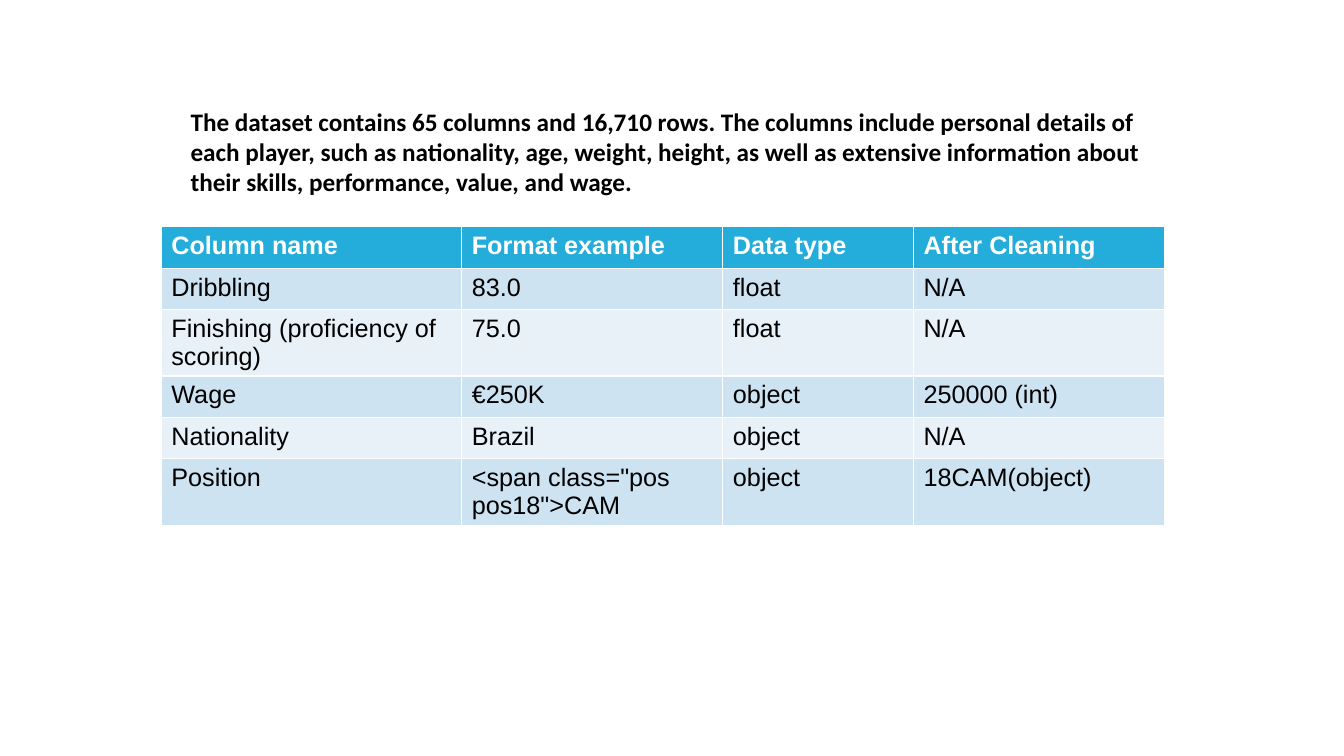
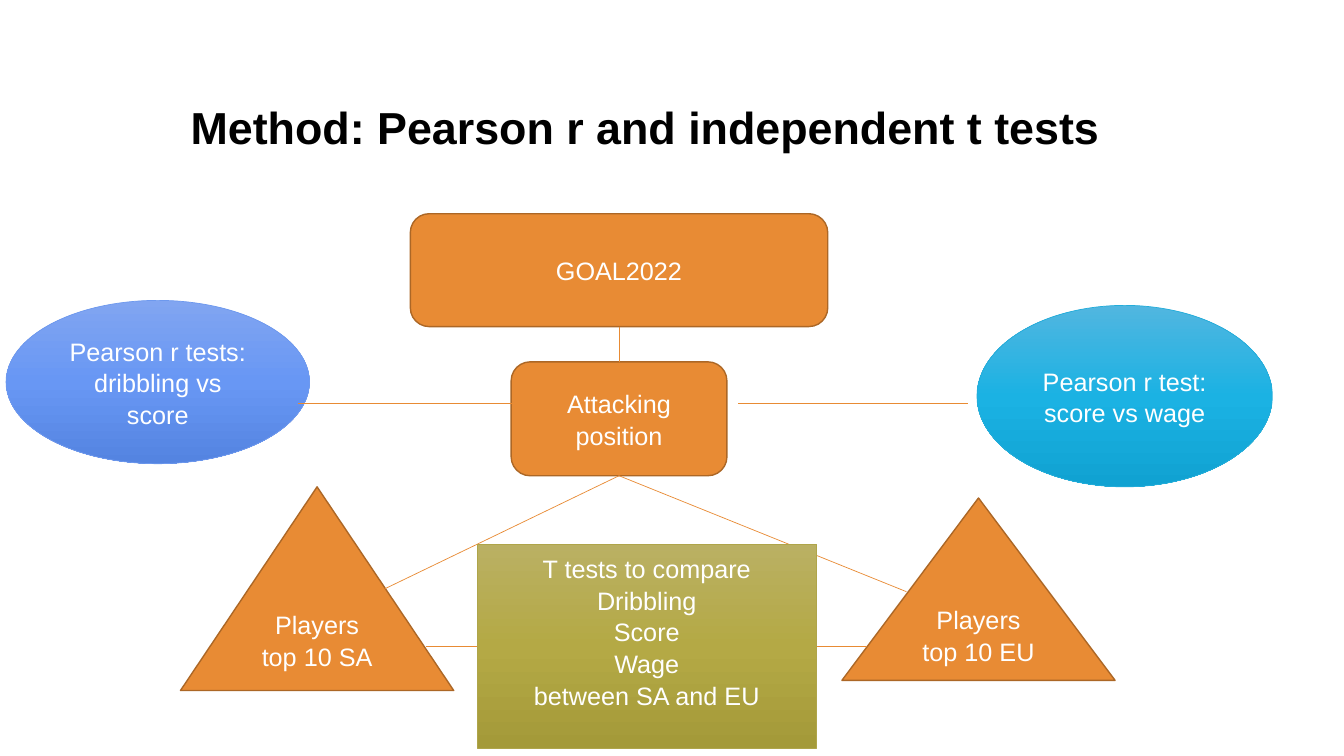
import copy

import pptx
import pptx.dml.color
import pptx.enum.shapes
import pptx.enum.text
import pptx.oxml.ns
import pptx.util
from lxml import etree

Inches = pptx.util.Inches
SHAPES = pptx.enum.shapes.MSO_SHAPE
ALIGN = pptx.enum.text.PP_ALIGN
ANCHOR = pptx.enum.text.MSO_ANCHOR

BLACK, WHITE = "000000", "FFFFFF"
ORANGE, ORANGE_EDGE = "E88B34", "AC6726"
HEADER, BAND_DARK, BAND_LIGHT = "24ADDA", "CDE3F1", "E8F1F8"
BLUE = ("81A5F1", "6897F4", "5484E1")
CYAN = ("51B6E0", "1BB2E3", "10A2D2")
OLIVE = ("BAB063", "B4A945", "A49A39")

COLUMN_WIDTHS = (2.98, 2.59, 1.89, 2.49)
ROW_HEIGHT = 0.41
ROWS = (
    ("Column name", "Format example", "Data type", "After Cleaning"),
    ("Dribbling", "83.0", "float", "N/A"),
    ("Finishing (proficiency of scoring)", "75.0", "float", "N/A"),
    ("Wage", "€250K", "object", "250000 (int)"),
    ("Nationality", "Brazil", "object", "N/A"),
    ("Position", '<span class="pos pos18">CAM', "object", "18CAM(object)"),
)


def rgb(value):
    """Turn a hex string into a colour."""
    return pptx.dml.color.RGBColor.from_string(value)


def add_span(para, text, color, size=18, bold=False, font="Arial"):
    """Add one formatted run to a paragraph."""
    span = para.add_run()
    span.text = text
    span.font.name = font
    span.font.size = pptx.util.Pt(size)
    span.font.bold = bold
    span.font.color.rgb = rgb(color)


def add_page(deck, title, height, size, font="Arial"):
    """Add a title-only slide with its title placed and formatted."""
    page = deck.slides.add_slide(deck.slide_layouts[5])
    box = page.shapes.title
    box.left, box.top = Inches(1.79), Inches(0.75)
    box.width, box.height = Inches(9.75), Inches(height)
    frame = box.text_frame
    frame.word_wrap = True
    frame.auto_size = pptx.enum.text.MSO_AUTO_SIZE.NONE
    frame.vertical_anchor = ANCHOR.MIDDLE
    para = frame.paragraphs[0]
    para.alignment = ALIGN.LEFT
    add_span(para, title, BLACK, size, True, font)
    return page


def add_data_table(page, left, top, rows):
    """Add a table with a coloured header and alternating row bands."""
    frame = page.shapes.add_table(
        len(rows), len(COLUMN_WIDTHS), Inches(left), Inches(top),
        Inches(sum(COLUMN_WIDTHS)), Inches(ROW_HEIGHT * len(rows)))
    table = frame.table
    for column, width in zip(table.columns, COLUMN_WIDTHS):
        column.width = Inches(width)
    for number, values in enumerate(rows):
        header = number == 0
        band = HEADER if header else BAND_DARK if number % 2 else BAND_LIGHT
        table.rows[number].height = Inches(ROW_HEIGHT)
        for cell, value in zip(table.rows[number].cells, values):
            cell.fill.solid()
            cell.fill.fore_color.rgb = rgb(band)
            add_span(cell.text_frame.paragraphs[0], value,
                     WHITE if header else BLACK, bold=header)


def fill_gradient(shape, colors):
    """Fill a shape from top to bottom with three evenly spaced colours."""
    shape.fill.gradient()
    shape.fill.gradient_angle = 270
    stop_list = shape.element.spPr.find(".//" + pptx.oxml.ns.qn("a:gsLst"))
    stop_list.append(copy.deepcopy(stop_list[0]))
    for number, (stop, color) in enumerate(zip(shape.fill.gradient_stops, colors)):
        stop.position = number / 2
        stop.color.rgb = rgb(color)


def add_node(page, kind, place, lines, fill=ORANGE, edge=ORANGE_EDGE, edge_width=1):
    """Add a diagram shape with centred white text, one paragraph a line."""
    shape = page.shapes.add_shape(kind, *map(Inches, place))
    shape.shadow.inherit = False
    if isinstance(fill, str):
        shape.fill.solid()
        shape.fill.fore_color.rgb = rgb(fill)
    else:
        fill_gradient(shape, fill)
    shape.line.color.rgb = rgb(edge)
    shape.line.width = pptx.util.Pt(edge_width)
    frame = shape.text_frame
    frame.word_wrap = True
    frame.vertical_anchor = ANCHOR.MIDDLE
    for number, text in enumerate(lines):
        para = frame.add_paragraph() if number else frame.paragraphs[0]
        para.alignment = ALIGN.CENTER
        para.line_spacing = 1.05
        add_span(para, text, WHITE)
    return shape


def add_link(page, start, end, begin=None, finish=None):
    """Add a thin straight line, joined to (shape, side) pairs where given."""
    link = page.shapes.add_connector(
        pptx.enum.shapes.MSO_CONNECTOR.STRAIGHT, *map(Inches, start + end))
    link.line.color.rgb = rgb(ORANGE)
    link.line.width = pptx.util.Pt(0.5)
    etree.SubElement(link.element.spPr, pptx.oxml.ns.qn("a:effectLst"))
    if begin:
        link.begin_connect(*begin)
    if finish:
        link.end_connect(*finish)


def build_dataset(deck):
    """Build the slide that describes the data set."""
    page = add_page(
        deck,
        "The dataset contains 65 columns and 16,710 rows. The columns include "
        "personal details of each player, such as nationality, age, weight, "
        "height, as well as extensive information about their skills, "
        "performance, value, and wage.", 1.5, 18, "Calibri")
    add_data_table(page, 1.6, 2.25, ROWS)


def build_method(deck):
    """Build the slide that shows the tests as a diagram."""
    page = add_page(deck, "Method: Pearson r and independent t tests", 1.01, 32)
    source = add_node(page, SHAPES.ROUNDED_RECTANGLE, (4.07, 2.12, 4.14, 1.12),
                      ["GOAL2022"])
    attack = add_node(page, SHAPES.ROUNDED_RECTANGLE, (5.07, 3.59, 2.14, 1.13),
                      ["Attacking position"])
    add_link(page, (6.14, 3.24), (6.14, 3.59), (source, 2), (attack, 0))
    add_node(page, SHAPES.ISOSCELES_TRIANGLE, (8.35, 4.94, 2.71, 1.81),
             ["Players top 10 EU"])
    add_node(page, SHAPES.ISOSCELES_TRIANGLE, (1.79, 4.83, 2.71, 2.02),
             ["Players", "top 10 SA"])
    for end in ((3.82, 5.84), (8.99, 5.87)):
        add_link(page, (6.14, 4.72), end, (attack, 2))
    add_link(page, (7.32, 4), (9.6, 4))
    add_node(page, SHAPES.OVAL, (0.06, 2.98, 3.01, 1.62),
             ["Pearson r tests: dribbling vs score"], BLUE, "6E99EE", 0.5)
    add_link(page, (5.16, 4), (2.96, 4))
    add_node(page, SHAPES.OVAL, (9.69, 3.03, 2.93, 1.8),
             ["Pearson r test: score vs wage"], CYAN, HEADER, 0.5)
    tests = add_node(
        page, SHAPES.RECTANGLE, (4.73, 5.4, 3.37, 2.02),
        ["T tests to compare", "Dribbling", "Score", "Wage", "between SA and EU"],
        OLIVE, "AFA54A", 0.5)
    tests.text_frame.margin_bottom = Inches(0.35)
    add_link(page, (4.73, 6.41), (4.23, 6.41), (tests, 1))
    add_link(page, (8.1, 6.41), (8.6, 6.41), (tests, 3))


def main():
    """Build and save the deck."""
    deck = pptx.Presentation()
    deck.slide_width, deck.slide_height = Inches(13.33), Inches(7.5)
    build_dataset(deck)
    build_method(deck)
    deck.save("out.pptx")


if __name__ == "__main__":
    main()
